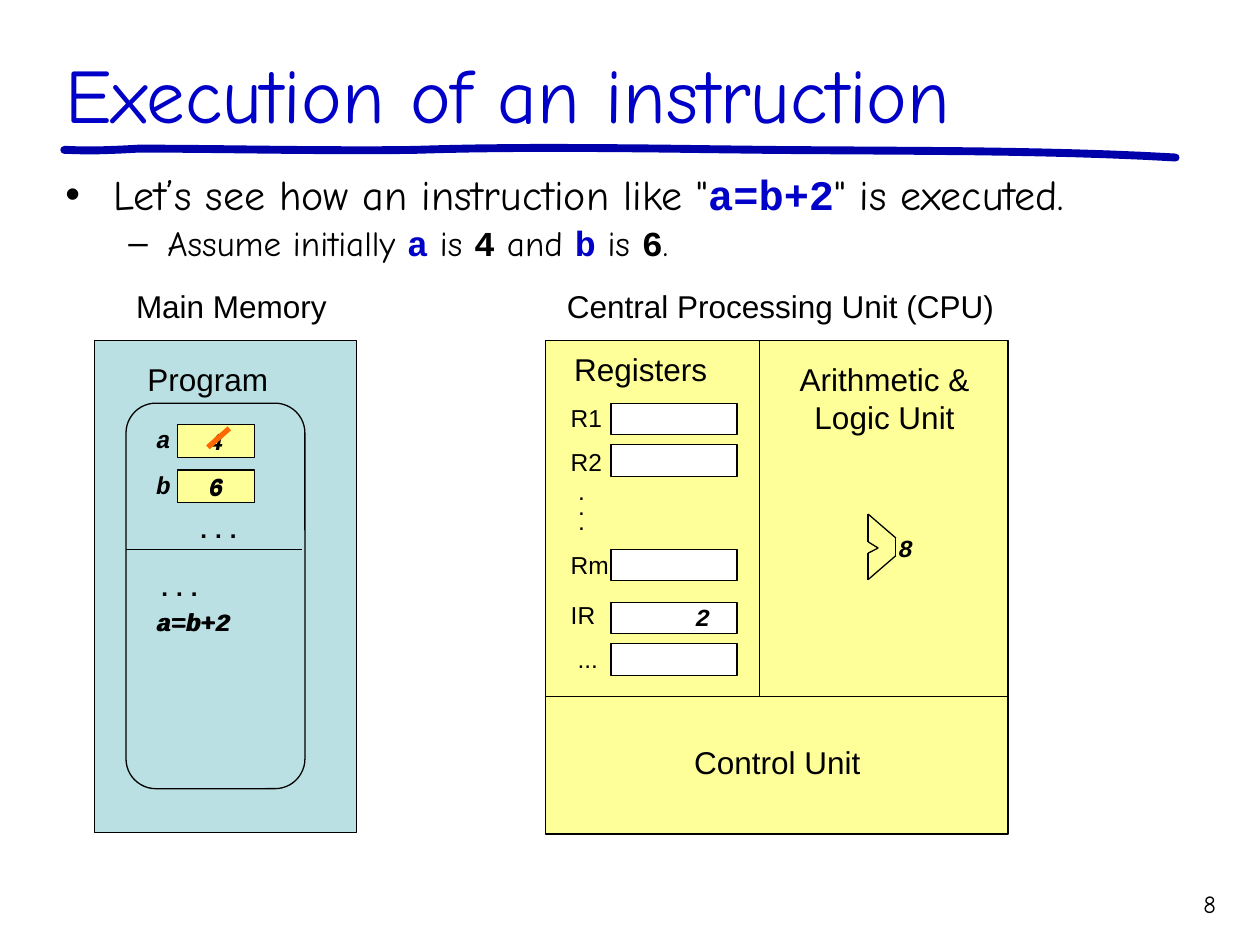
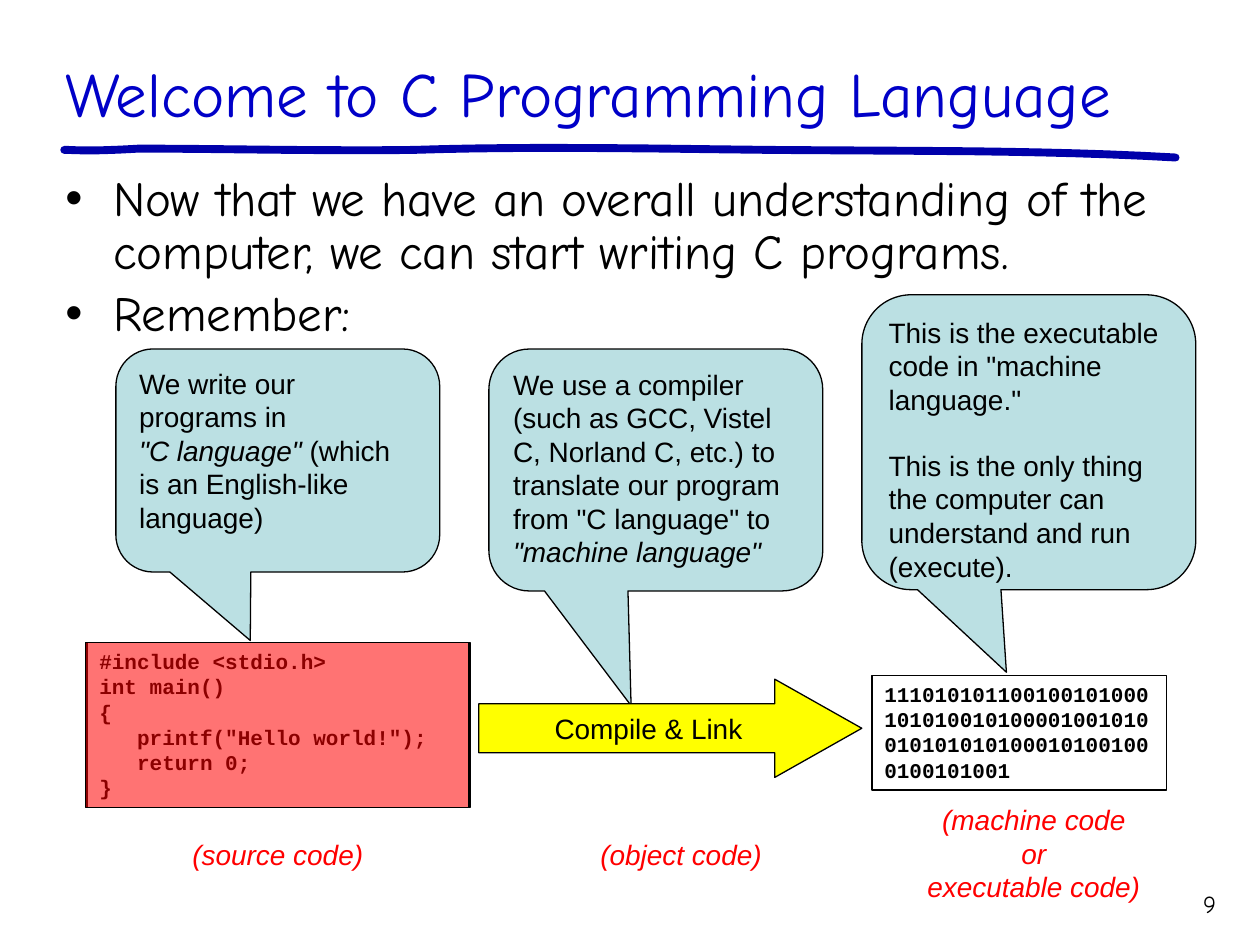
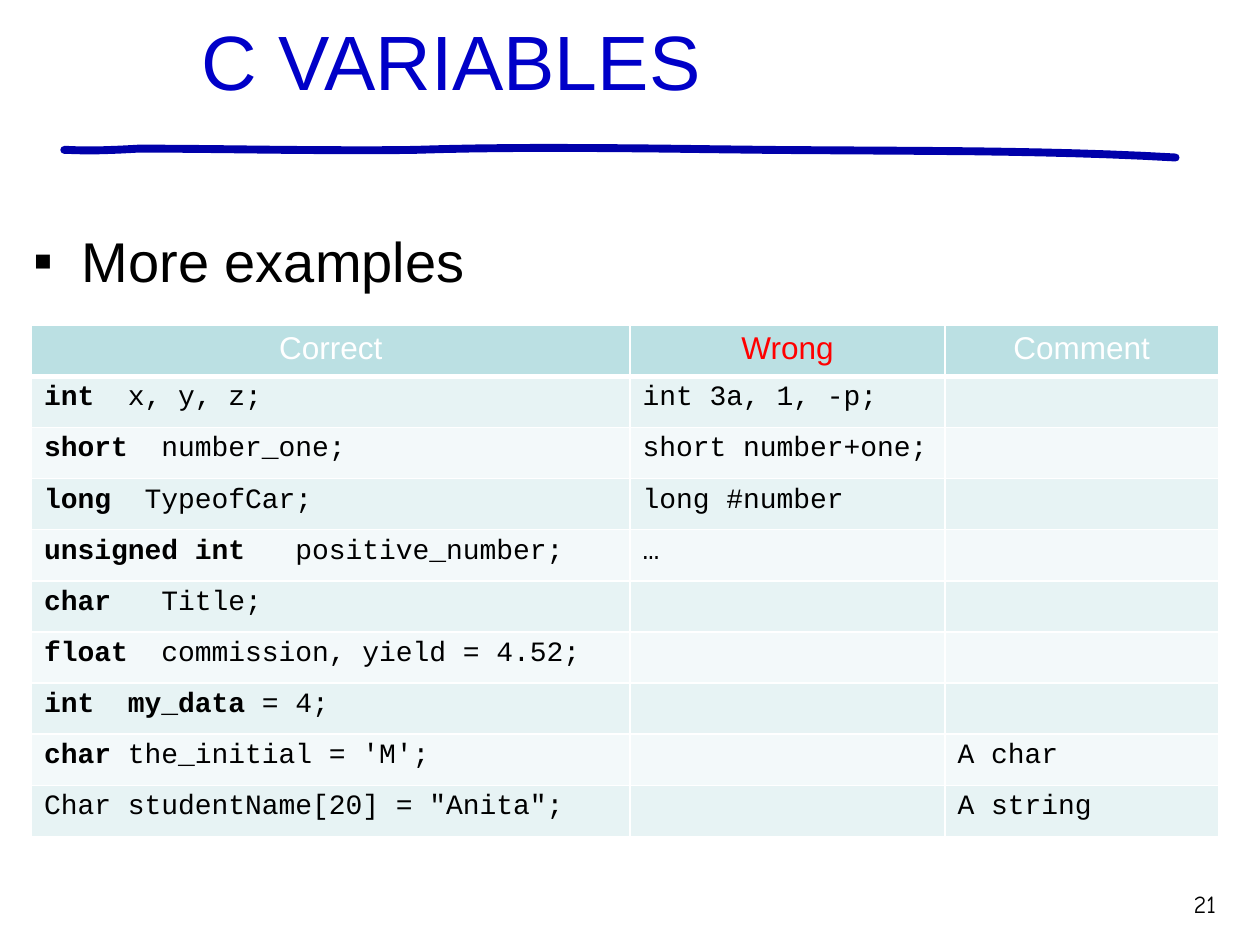
from dataclasses import dataclass, replace
from itertools import pairwise

from lxml import etree
from pptx import Presentation
from pptx.dml.color import RGBColor
from pptx.enum.shapes import MSO_CONNECTOR, MSO_SHAPE
from pptx.enum.text import MSO_ANCHOR, MSO_AUTO_SIZE, PP_ALIGN
from pptx.oxml.ns import qn
from pptx.util import Inches, Pt

LEFT, MID, RIGHT = PP_ALIGN.LEFT, PP_ALIGN.CENTER, PP_ALIGN.RIGHT
TOP, CENTRE = MSO_ANCHOR.TOP, MSO_ANCHOR.MIDDLE
NO_FIT = MSO_AUTO_SIZE.NONE
STRAIGHT = MSO_CONNECTOR.STRAIGHT
RECT, ROUND = MSO_SHAPE.RECTANGLE, MSO_SHAPE.ROUNDED_RECTANGLE
BUBBLE = MSO_SHAPE.ROUNDED_RECTANGULAR_CALLOUT
ARROW = MSO_SHAPE.RIGHT_ARROW

BLACK = RGBColor(0x00, 0x00, 0x00)
WHITE = RGBColor(0xFF, 0xFF, 0xFF)
BLUE = RGBColor(0x00, 0x00, 0xC8)
NAVY = RGBColor(0x00, 0x00, 0xAA)
RED = RGBColor(0xFF, 0x00, 0x00)
ORANGE = RGBColor(0xFF, 0x66, 0x00)
CREAM = RGBColor(0xFF, 0xFF, 0x99)
YELLOW = RGBColor(0xFF, 0xFF, 0x00)
TEAL = RGBColor(0xBB, 0xE0, 0xE3)
BANDS = [RGBColor(0xE7, 0xF3, 0xF4), RGBColor(0xF3, 0xF9, 0xFA)]

COMIC, ARIAL, CODE = "Comic Neue", "Arial", "Courier New"

# Each curve of the title rule: two handles and an end, after the start.
RULE_START = (0.51, 1.19)
RULE = [
    [(0.52, 1.19), (0.52, 1.19), (0.54, 1.19)],
    [(0.73, 1.2), (0.91, 1.19), (1.1, 1.18)],
    [(1.83, 1.18), (2.55, 1.2), (3.28, 1.19)],
    [(4.23, 1.16), (5.17, 1.18), (6.12, 1.19)],
    [(7.2, 1.2), (8.27, 1.19), (9.33, 1.25)],
]


@dataclass(frozen=True)
class Font:
    name: str = ARIAL
    size: float = 18
    color: RGBColor = BLACK
    bold: bool = False
    slant: bool = False


LABEL = Font()
SMALL = Font(size=14)
VALUE = Font(CODE, 14, bold=True, slant=True)
DOTS = Font(CODE, 14, bold=True)
NOTE = Font(size=16)
ITALIC = replace(NOTE, slant=True)
CAPTION = replace(ITALIC, color=RED)
SOURCE = Font(CODE, 12, bold=True)
CELL = Font(CODE, 16)
KEYWORD = replace(CELL, bold=True)


def bezier(start, curves, steps=12):
    """Sample points along joined cubic curves."""
    points = [start]
    for one, two, end in curves:
        for step in range(1, steps + 1):
            t = step / steps
            u = 1 - t
            weights = (u**3, 3 * u * u * t, 3 * u * t * t, t**3)
            points.append(tuple(
                sum(w * p[axis] for w, p in zip(weights, (start, one, two, end)))
                for axis in (0, 1)))
        start = end
    return points


def inches(values):
    return [Inches(v) for v in values]


def write(frame, paras, font, align=LEFT, gap=0, spacing=None):
    """Fill a frame; a paragraph is a string or a list of (text, font) runs."""
    for i, runs in enumerate(paras):
        para = frame.paragraphs[0] if i == 0 else frame.add_paragraph()
        para.alignment = align
        if i and gap:
            para.space_before = Pt(gap)
        if spacing:
            para.line_spacing = spacing
        for text, style in [(runs, font)] if isinstance(runs, str) else runs:
            run = para.add_run()
            run.text = text
            run.font.name = style.name
            run.font.size = Pt(style.size)
            run.font.color.rgb = style.color
            run.font.bold = style.bold
            run.font.italic = style.slant


def bullet(para, mark, left, hang):
    props = para._p.get_or_add_pPr()
    props.set("marL", str(Inches(left)))
    props.set("indent", str(-Inches(hang)))
    etree.SubElement(props, qn("a:buFont")).set("typeface", ARIAL)
    etree.SubElement(props, qn("a:buChar")).set("char", mark)


def border(cell, side, width):
    """Give one side of a cell a white line."""
    line = etree.SubElement(cell._tc.get_or_add_tcPr(), qn(f"a:ln{side}"))
    line.set("w", str(Pt(width)))
    fill = etree.SubElement(line, qn("a:solidFill"))
    etree.SubElement(fill, qn("a:srgbClr")).set("val", str(WHITE))


class Deck:
    def __init__(self):
        self.show = Presentation()
        self.show.slide_width, self.show.slide_height = inches((10, 7.5))
        self.slide = None

    def page(self, title, number, font, box=(0.42, 0.3, 9.33, 0.87)):
        self.slide = self.show.slides.add_slide(self.show.slide_layouts[5])
        self.rule()
        head = self.slide.shapes.title
        head.left, head.top, head.width, head.height = inches(box)
        frame = head.text_frame
        frame.auto_size = NO_FIT
        frame.vertical_anchor = CENTRE
        write(frame, [title], font)
        self.text((9.17, 7, 0.58, 0.35), [number], Font(COMIC, 14), RIGHT,
                  inset=None)

    def rule(self):
        """Draw the wavy line under the title."""
        points = [inches(p) for p in bezier(RULE_START, RULE)]
        pen = self.slide.shapes.build_freeform(*points[0], scale=1.0)
        pen.add_line_segments(points[1:], close=False)
        wave = pen.convert_to_shape()
        wave.shadow.inherit = False
        wave.fill.background()
        wave.line.color.rgb = NAVY
        wave.line.width = Pt(4.5)
        wave.line._get_or_add_ln().set("cap", "rnd")

    def text(self, box, paras, font=LABEL, align=LEFT, anchor=CENTRE, inset=0,
             **rest):
        frame = self.slide.shapes.add_textbox(*inches(box)).text_frame
        frame.word_wrap = True
        frame.vertical_anchor = anchor
        if inset is not None:
            frame.margin_left = frame.margin_right = Inches(inset)
            frame.margin_top = frame.margin_bottom = Inches(inset)
        write(frame, paras, font, align, **rest)
        return frame

    def body(self, box, paras, font, marks, **rest):
        """Add bulleted text; marks holds a level and a sign per paragraph."""
        frame = self.text(box, paras, font, anchor=TOP, inset=None, **rest)
        for para, (level, mark) in zip(frame.paragraphs, marks):
            para.level = level
            bullet(para, mark, *((0.81, 0.31) if level else (0.38, 0.38)))

    def shape(self, box, fill=None, kind=RECT, paras=(), font=NOTE, align=LEFT,
              anchor=TOP, adjust=(), alpha=None, gap=0):
        item = self.slide.shapes.add_shape(kind, *inches(box))
        item.shadow.inherit = False
        for i, value in enumerate(adjust):
            item.adjustments[i] = value
        if fill is None:
            item.fill.background()
        else:
            item.fill.solid()
            item.fill.fore_color.rgb = fill
        if alpha:
            color = item._element.spPr.find(".//" + qn("a:srgbClr"))
            etree.SubElement(color, qn("a:alpha")).set("val", str(alpha * 1000))
        item.line.color.rgb = BLACK
        item.line.width = Pt(0.75)
        item.text_frame.word_wrap = True
        item.text_frame.vertical_anchor = anchor
        write(item.text_frame, paras, font, align, gap)

    def line(self, start, end, color=BLACK, width=0.75):
        item = self.slide.shapes.add_connector(
            STRAIGHT, *inches(start), *inches(end))
        item.line.color.rgb = color
        item.line.width = Pt(width)
        etree.SubElement(item._element.spPr, qn("a:effectLst"))

    def table(self, box, widths, heads, rows):
        grid = self.slide.shapes.add_table(
            len(rows) + 1, len(widths), *inches(box)).table
        grid.horz_banding = False
        for column, width in zip(grid.columns, widths):
            column.width = Inches(width)
        for r, row in enumerate([heads, *rows]):
            for c, runs in enumerate(row):
                cell = grid.cell(r, c)
                for side in "LRTB":
                    border(cell, side, 3 if r == 0 and side == "B" else 1)
                cell.fill.solid()
                cell.fill.fore_color.rgb = BANDS[(r - 1) % 2] if r else TEAL
                if runs:
                    write(cell.text_frame, [runs], CELL, LEFT if r else MID)


def memory(deck):
    deck.text((1.08, 2.28, 1.67, 0.3), ["Main Memory"])
    deck.shape((0.75, 2.7, 2.08, 3.91), TEAL)
    deck.shape((1, 3.2, 1.42, 3.06), kind=ROUND, adjust=[0.167])
    deck.text((1.17, 2.86, 1.17, 0.3), ["Program"])
    deck.line((1, 4.36), (2.4, 4.36))
    for name, value, top in (("a", "4", 3.37), ("b", "6", 3.73)):
        deck.text((1.24, top - 0.01, 0.16, 0.25), [name], VALUE)
        deck.shape((1.41, top, 0.61, 0.26), CREAM, paras=[value], font=VALUE,
                   align=MID, anchor=CENTRE)
    deck.text((1.66, 3.73, 0.16, 0.25), ["6"], VALUE)
    deck.line((1.65, 3.55), (1.82, 3.4), ORANGE, 3)
    for left, top in ((1.56, 4.07), (1.25, 4.53)):
        deck.text((left, top, 0.5, 0.25), ["..."], DOTS)
    for left in (1.25, 1.24):
        deck.text((left, 4.81, 0.83, 0.25), ["a=b+2"], VALUE)


def processor(deck):
    deck.text((4.5, 2.28, 3.5, 0.3), ["Central Processing Unit (CPU)"])
    deck.shape((4.33, 2.7, 3.67, 3.92), CREAM)
    deck.line((4.33, 5.53), (8, 5.53))
    deck.line((6.03, 2.7), (6.03, 5.53))
    for box, name in (
        ((4.42, 5.9, 3.5, 0.3), "Control Unit"),
        ((4.42, 2.78, 1.33, 0.3), "Registers"),
        ((6.23, 2.86, 1.58, 0.6), "Arithmetic & Logic Unit"),
    ):
        deck.text(box, [name], align=MID)
    for name, top, mark in (("R1", 3.2, 3.23), ("R2", 3.53, 3.58),
                            ("Rm", 4.36, 4.4), ("IR", 4.78, 4.79)):
        deck.shape((4.85, top, 1, 0.25), WHITE)
        deck.text((4.53, mark, 0.33, 0.17), [name], SMALL)
    deck.shape((4.85, 5.11, 1, 0.25), WHITE)
    deck.text((4.5, 5.14, 0.33, 0.17), ["..."], SMALL, MID)
    deck.text((4.45, 3.89, 0.33, 0.33), ["."] * 3, SMALL, MID, spacing=0.5)

    adder = [(6.89, 4.08), (7.11, 4.27), (7.11, 4.41), (6.89, 4.6),
             (6.89, 4.39), (6.97, 4.35), (6.89, 4.3), (6.89, 4.08)]
    for start, end in pairwise(adder):
        deck.line(start, end)
    deck.text((5.52, 4.77, 0.16, 0.25), ["2"], VALUE)
    deck.text((7.13, 4.22, 0.16, 0.25), ["8"], VALUE)


def execution(deck):
    deck.page("Execution of an instruction", "8", Font(COMIC, 44, BLUE))
    big, sub = Font(COMIC, 24), Font(COMIC, 20)
    name = Font(CODE, 20, BLUE, bold=True)
    digit = replace(name, color=BLACK)
    deck.body((0.42, 1.33, 9.33, 0.84), [
        [("Let’s see how an instruction like \"", big),
         ("a=b+2", replace(name, size=24)), ("\" is executed.", big)],
        [("Assume initially ", sub), ("a", name), (" is ", sub), ("4", digit),
         (" and ", sub), ("b", name), (" is ", sub), ("6", digit), (".", sub)],
    ], big, [(0, "•"), (1, "–")], gap=4, spacing=0.9)
    memory(deck)
    processor(deck)


def welcome(deck):
    deck.page("Welcome to C Programming Language", "9", Font(COMIC, 36, BLUE))
    deck.body((0.42, 1.33, 9.33, 1.51), [
        "Now that we have an overall understanding of the computer, "
        "we can start writing C programs.",
        "Remember:",
    ], Font(COMIC, 28), [(0, "•")] * 2, gap=5.6, spacing=0.9)

    bubbles = [
        ((0.92, 2.77, 2.57, 1.77), (-0.085, 0.807), 0, [
            "We write our programs in",
            [("\"C language\"", ITALIC),
             (" (which is an English-like language)", NOTE)]]),
        ((3.88, 2.77, 2.65, 1.92), (-0.074, 0.974), 0, [
            [("We use a compiler (such as GCC, Vistel C, Norland C, etc.) to "
              "translate our program from \"C language\" to ", NOTE),
             ("\"machine language\"", ITALIC)]]),
        ((6.84, 2.34, 2.65, 2.34), (-0.067, 0.78), 18.4, [
            "This is the executable code in \"machine language.\"",
            "This is the only thing the computer can understand and run "
            "(execute)."]),
    ]
    for box, tip, gap, paras in bubbles:
        deck.shape(box, TEAL, BUBBLE, paras, adjust=(*tip, 0.167), gap=gap)

    deck.shape((0.69, 5.1, 3.04, 1.31), font=SOURCE, paras=[
        "#include <stdio.h>",
        "int main()",
        "{",
        "   printf(\"Hello world!\");",
        "   return 0;",
        "}",
    ])
    deck.shape((0.68, 5.1, 3.04, 1.31), RED, alpha=55)
    deck.shape((3.8, 5.39, 3.04, 0.78), YELLOW, ARROW, ["Compile & Link"],
               align=MID, anchor=CENTRE, adjust=(0.5, 0.886))
    deck.shape((6.92, 5.36, 2.34, 0.91), font=SOURCE, paras=[
        "1110101011001001010001010100101000010010100101010101000101001000100101001"
    ])
    for box, lines in (
        ((0.84, 6.6, 2.73, 0.37), ["(source code)"]),
        ((4.04, 6.6, 2.73, 0.37), ["(object code)"]),
        ((6.92, 6.32, 2.57, 0.9), ["(machine code", "or", "executable code)"]),
    ):
        deck.text(box, lines, CAPTION, MID, TOP, None)


def variables(deck):
    deck.page("C VARIABLES", "21", Font(ARIAL, 44, BLUE), (1.5, 0, 6.42, 0.95))
    deck.body((0.17, 1.75, 9.58, 4.95), ["More examples"], Font(size=32),
              [(0, "▪")])
    heads = [[(name, Font(color=color))] for name, color in (
        ("Correct", WHITE), ("Wrong", RED), ("Comment", WHITE))]
    rows = [
        ("int", "  x, y, z;", "int 3a, 1, -p;", ""),
        ("short", "  number_one;", "short number+one;", ""),
        ("long", "  TypeofCar;", "long #number", ""),
        ("unsigned int", "   positive_number;", "…", ""),
        ("char", "   Title;", "", ""),
        ("float", "  commission, yield = 4.52;", "", ""),
        ("int  my_data", " = 4;", "", ""),
        ("char", " the_initial = 'M';", "", "A char"),
        ("", "Char studentName[20] = \"Anita\";", "", "A string"),
    ]
    cells = [
        ([(text, font) for text, font in ((key, KEYWORD), (tail, CELL)) if text],
         wrong, comment)
        for key, tail, wrong, comment in rows]
    deck.table((0.25, 2.58, 9.42, 4.06), (4.75, 2.5, 2.17), heads, cells)


def main():
    deck = Deck()
    execution(deck)
    welcome(deck)
    variables(deck)
    deck.show.save("out.pptx")


if __name__ == "__main__":
    main()
